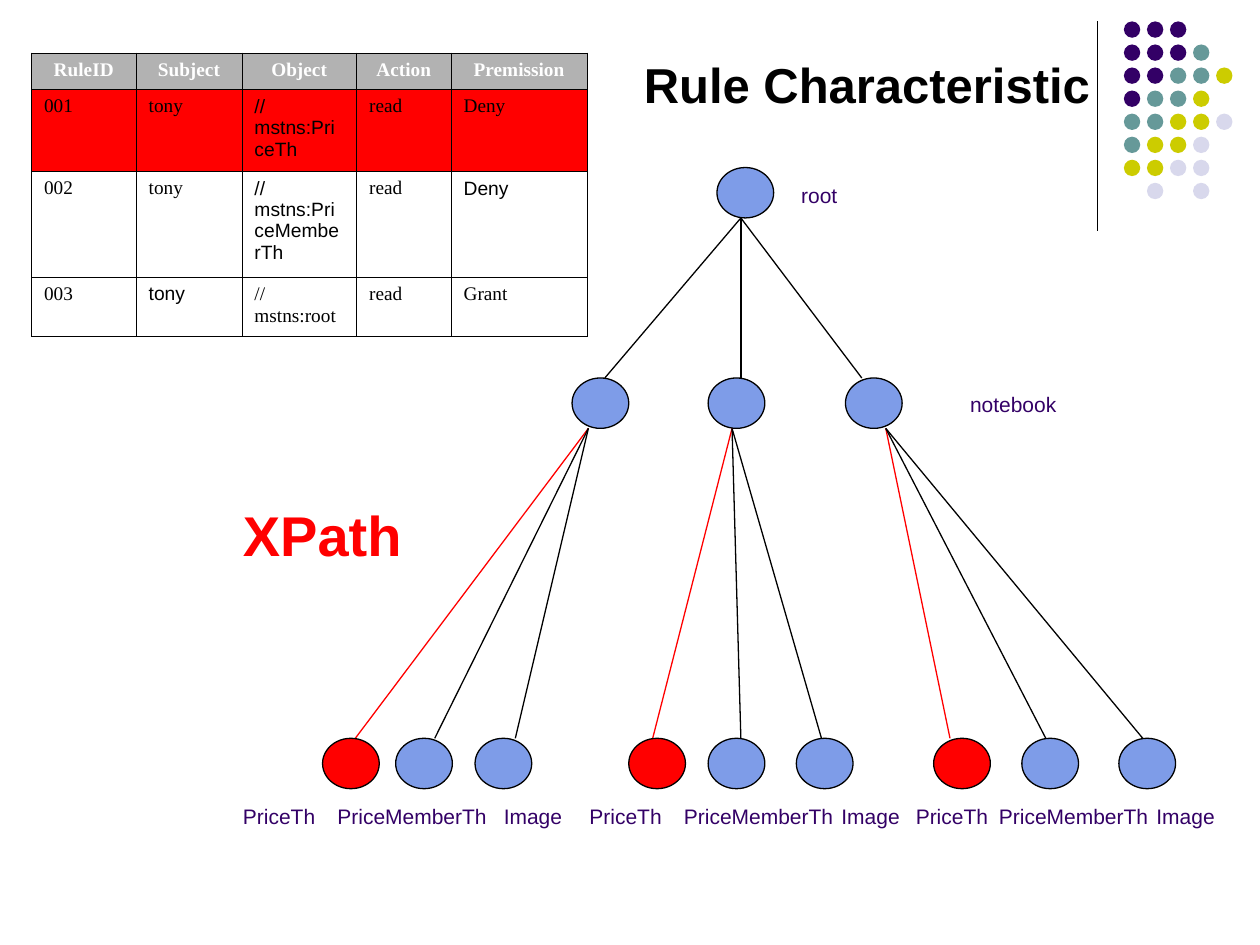
from typing import NamedTuple

from lxml.etree import SubElement
from pptx import Presentation
from pptx.dml.color import RGBColor
from pptx.enum.shapes import MSO_CONNECTOR, MSO_SHAPE
from pptx.enum.text import MSO_ANCHOR, MSO_AUTO_SIZE, PP_ALIGN
from pptx.oxml import parse_xml
from pptx.oxml.ns import nsdecls, qn
from pptx.util import Inches, Pt

# The slide is a grid of 100 columns by 75 rows; all lengths are in cells.
CELL = Inches(0.1)
COLS, ROWS = 100, 75

COLORS = {"black": "000000", "white": "FFFFFF", "red": "FF0000",
          "blue": "7E9CE8", "ink": "330066", "teal": "669999",
          "lime": "CCCC00", "mist": "D8D8EC", "gray": "B2B2B2"}

NODE_W, NODE_H = 4.5, 4.0
ROOT_Y, MID_Y, LEAF_Y, LABEL_Y = 13.3, 30.0, 58.6, 63.3
TOP = 58.8  # where the lines leave the root


class Branch(NamedTuple):
    node: float
    tip: float     # where the line from the root ends
    hub: float     # where the lines to the leaves start
    leaves: tuple
    ends: tuple
    labels: tuple


BRANCHES = [
    Branch(45.4, 48.0, 46.7, (25.6, 31.4, 37.7), (28.2, 34.5, 40.9),
           (18.3, 25.8, 39.0)),
    Branch(56.2, 58.8, 58.1, (49.9, 56.2, 63.2), (51.8, 58.8, 65.2),
           (45.8, 53.3, 65.8)),
    Branch(67.1, 68.4, 70.3, (74.1, 81.1, 88.8), (75.4, 83.0, 90.7),
           (71.7, 78.3, 90.8)),
]


class Leaf(NamedTuple):
    text: str
    width: float
    fill: str
    line: str


LEAVES = [Leaf("PriceTh", 7.7, "red", "red"),
          Leaf("PriceMemberTh", 13.8, "blue", "black"),
          Leaf("Image", 6.6, "blue", "black")]

DOT_KEY = {"i": "ink", "t": "teal", "l": "lime", "m": "mist"}
DOTS = ["iii", "iiit", "iittl", "ittl", "ttllm", "tllm", "llmm", " m m"]

RULES = [("RuleID", "Subject", "Object", "Action", "Premission"),
         ("001", "tony", "//mstns:PriceTh", "read", "Deny"),
         ("002", "tony", "//mstns:PriceMemberTh", "read", "Deny"),
         ("003", "tony", "//mstns:root", "read", "Grant")]
RULE_COLS = (8.3, 8.4, 9.1, 7.5, 10.8)
RULE_ROWS = (2.9, 6.5, 8.4, 4.7)
ROW_FILLS = ("gray", "red", None, None)
SANS = {(1, 2), (2, 2), (2, 4), (3, 1)}  # cells set in Arial


def cells(*nums: float) -> list[int]:
    return [round(num * CELL) for num in nums]


def rgb(name: str) -> RGBColor:
    return RGBColor.from_string(COLORS[name])


def style(par, text: str, size: float, color: str, bold: bool = False,
          face: str = "Arial") -> None:
    font = par.add_run()
    font.text = text
    font = font.font
    for key, val in {"name": face, "size": Pt(size), "bold": bold}.items():
        setattr(font, key, val)
    font.color.rgb = rgb(color)


def frame_text(frame, text: str, size: float, color: str,
               bold: bool = False) -> None:
    look = {"word_wrap": False, "auto_size": MSO_AUTO_SIZE.NONE,
            "vertical_anchor": MSO_ANCHOR.TOP}
    for key, val in look.items():
        setattr(frame, key, val)
    par = frame.paragraphs[0]
    par.alignment = PP_ALIGN.LEFT
    style(par, text, size, color, bold)


def label(shapes, x: float, y: float, w: float, h: float, text: str,
          size: float = 12, color: str = "ink", bold: bool = False) -> None:
    box = shapes.add_textbox(*cells(x, y, w, h))
    frame_text(box.text_frame, text, size, color, bold)


def disc(shapes, x: float, y: float, w: float, h: float, fill: str,
         edge: str | None = None) -> None:
    oval = shapes.add_shape(MSO_SHAPE.OVAL, *cells(x, y, w, h))
    oval.shadow.inherit = False
    oval.fill.solid()
    oval.fill.fore_color.rgb = rgb(fill)
    if edge:
        oval.line.color.rgb = rgb(edge)
        oval.line.width = Pt(0.75)
    else:
        oval.line.fill.background()


def node(shapes, x: float, y: float, fill: str = "blue") -> None:
    disc(shapes, x, y, NODE_W, NODE_H, fill, "black")


def line(shapes, x1: float, y1: float, x2: float, y2: float,
         color: str = "black") -> None:
    link = shapes.add_connector(MSO_CONNECTOR.STRAIGHT,
                                *cells(x1, y1, x2, y2))
    link.line.color.rgb = rgb(color)
    link.line.width = Pt(0.75)
    SubElement(link.element.spPr, qn("a:effectLst"))


def border(cell) -> None:
    props = cell._tc.get_or_add_tcPr()
    for side in "LRTB":
        props.append(parse_xml(
            f'<a:ln{side} {nsdecls("a")} w="{Pt(0.45)}"><a:solidFill>'
            f'<a:srgbClr val="{COLORS["black"]}"/></a:solidFill></a:ln{side}>'))


def rules(shapes) -> None:
    size = cells(2.5, 4.2, sum(RULE_COLS), sum(RULE_ROWS))
    table = shapes.add_table(len(RULES), len(RULE_COLS), *size).table
    table.first_row = table.horz_banding = False
    for col, width in zip(table.columns, cells(*RULE_COLS)):
        col.width = width
    for row, height in zip(table.rows, cells(*RULE_ROWS)):
        row.height = height
    for r, texts in enumerate(RULES):
        head = r == 0
        for c, text in enumerate(texts):
            cell = table.cell(r, c)
            border(cell)
            if ROW_FILLS[r]:
                cell.fill.solid()
                cell.fill.fore_color.rgb = rgb(ROW_FILLS[r])
            else:
                cell.fill.background()
            par = cell.text_frame.paragraphs[0]
            par.alignment = PP_ALIGN.CENTER if head else PP_ALIGN.LEFT
            style(par, text, 11, "white" if head else "black", head,
                  "Arial" if (r, c) in SANS else "Times New Roman")


def corner(shapes) -> None:
    """Draw the rule and the dots at the top right."""
    line(shapes, 87.1, 1.7, 87.1, 18.3)
    for r, row in enumerate(DOTS):
        for c, key in enumerate(row):
            if key in DOT_KEY:
                disc(shapes, 89.2 + 1.83 * c, 1.7 + 1.83 * r, 1.3, 1.3,
                     DOT_KEY[key])


def tree(shapes) -> None:
    node(shapes, 56.9, ROOT_Y)
    for part in BRANCHES:
        line(shapes, TOP, ROOT_Y + NODE_H, part.tip, MID_Y)
        node(shapes, part.node, MID_Y)
        for leaf, x, end, left in zip(LEAVES, part.leaves, part.ends,
                                      part.labels):
            line(shapes, part.hub, MID_Y + NODE_H, end, LEAF_Y, leaf.line)
            node(shapes, x, LEAF_Y, leaf.fill)
            label(shapes, left, LABEL_Y, leaf.width, 3, leaf.text)
    label(shapes, 62.6, 14, 4.8, 3, "root")
    label(shapes, 76, 30.6, 8.8, 3, "notebook")


def main() -> None:
    deck = Presentation()
    deck.slide_width, deck.slide_height = cells(COLS, ROWS)
    slide = deck.slides.add_slide(deck.slide_layouts[5])
    shapes = slide.shapes
    title = shapes.title
    spot = zip(("left", "top", "width", "height"), cells(50.1, 3.8, 37.4, 9.9))
    for key, val in spot:
        setattr(title, key, val)
    frame_text(title.text_frame, "Rule Characteristic", 28, "black", True)
    corner(shapes)
    tree(shapes)
    rules(shapes)
    label(shapes, 18.3, 39.2, 14.6, 6.4, "XPath", 32, "red", True)
    deck.save("out.pptx")


if __name__ == "__main__":
    main()
